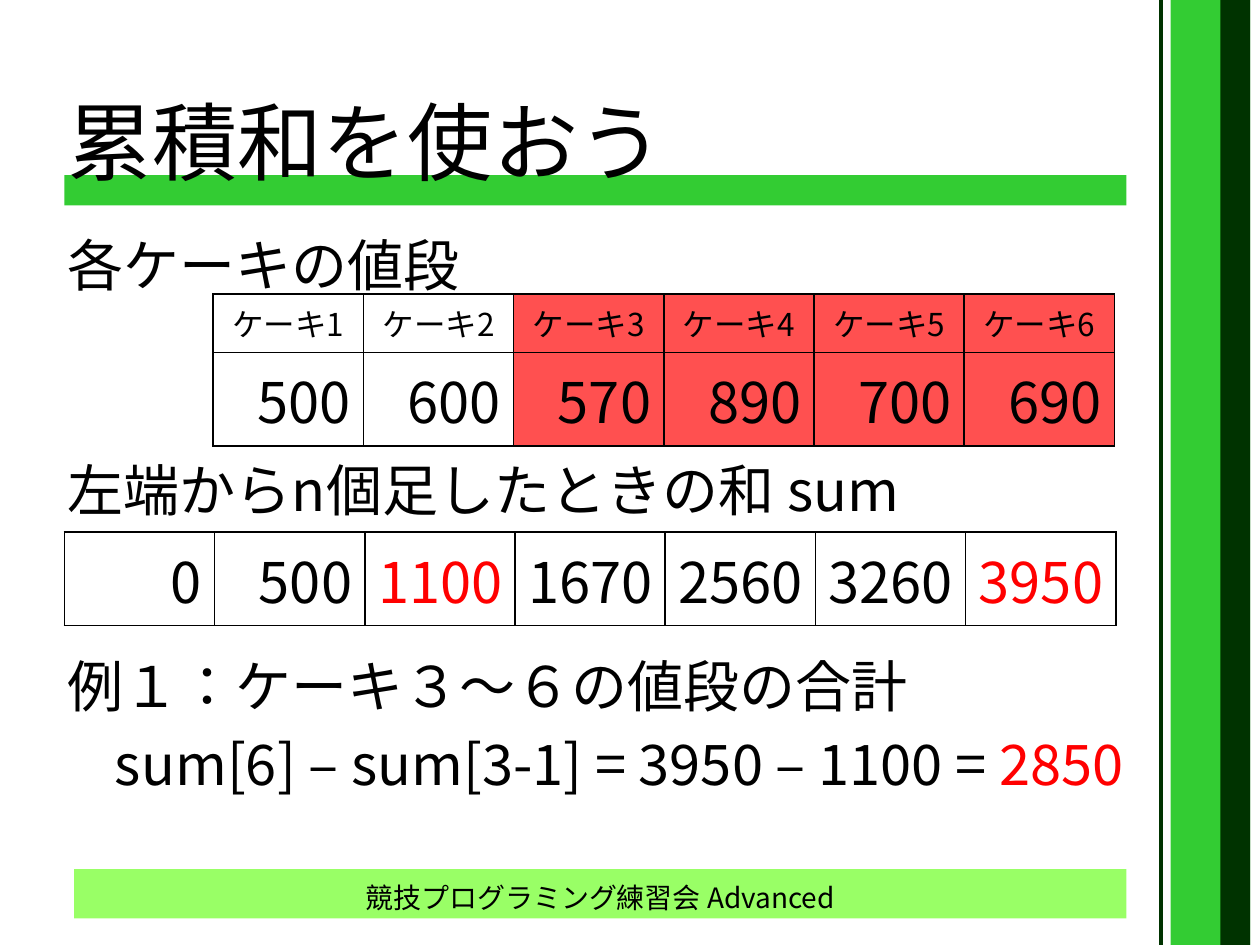
from lxml.etree import SubElement
from pptx import Presentation
from pptx.dml.color import RGBColor
from pptx.enum.lang import MSO_LANGUAGE_ID as Language
from pptx.enum.shapes import MSO_CONNECTOR as Connector, MSO_SHAPE as Preset
from pptx.enum.text import MSO_ANCHOR as Anchor, PP_ALIGN as Align
from pptx.oxml.ns import qn
from pptx.util import Pt

FONT = "Noto Sans CJK JP"
COLORS = {"text": "000000", "accent": "FF0000", "cell": "FFFFFF", "marked": "FF5050",
          "green": "33CC33", "light": "99FF66", "dark": "003300"}
COLUMN = 85.85
LABEL_ROW, VALUE_ROW = 33.3, 53.6


def color(name):
    return RGBColor.from_string(COLORS[name])


def style(para, size, align=Align.LEFT, ink="text"):
    para.alignment = align
    para.font.size = Pt(size)
    para.font.name = FONT
    para.font.color.rgb = color(ink)
    defaults = para._p.get_or_add_pPr().get_or_add_defRPr()
    SubElement(defaults, qn("a:ea"), typeface=FONT)


def add_bar(page, left, top, width, height, fill):
    bar = page.shapes.add_shape(Preset.RECTANGLE, Pt(left), Pt(top), Pt(width), Pt(height))
    bar.shadow.inherit = False
    bar.fill.solid()
    bar.fill.fore_color.rgb = color(fill)
    bar.line.fill.background()


def add_text_frame(page, left, top, width, height, anchor=Anchor.TOP):
    frame = page.shapes.add_textbox(Pt(left), Pt(top), Pt(width), Pt(height)).text_frame
    frame.word_wrap = True
    frame.vertical_anchor = anchor
    return frame


def add_side_stripes(page, left, height):
    rule = page.shapes.add_connector(Connector.STRAIGHT, Pt(left), Pt(0), Pt(left), Pt(height))
    rule.line.color.rgb = color("dark")
    rule.line.width = Pt(2.25)
    SubElement(rule._element.spPr, qn("a:effectLst"))
    add_bar(page, left + 5.8, 0, 45.4, height, "green")
    add_bar(page, left + 34.2, 0, 17, height, "dark")


def add_title(page, left, top, width, height):
    add_bar(page, left + 5.2, top + 51.1, 606.8, 17.3, "green")
    frame = add_text_frame(page, left, top, width, height, Anchor.MIDDLE)
    para = frame.paragraphs[0]
    para.text = "累積和を使おう"
    style(para, 48.6)


def add_body(page, left, top, width, height):
    # Each line: space before, left indent, runs with their colours
    lines = [
        (0, 0, [("各ケーキの値段", "text")]),
        (89, 0, [("左端からn個足したときの和 sum", "text")]),
        (71.6, 0, [("例１：ケーキ３～６の値段の合計", "text")]),
        (5, 27, [("sum[6] – sum[3-1] = 3950 – 1100 = ", "text"), ("2850", "accent")]),
    ]
    frame = add_text_frame(page, left, top, width, height)
    for index, (gap, indent, spans) in enumerate(lines):
        para = frame.add_paragraph() if index else frame.paragraphs[0]
        para.line_spacing = Pt(40)
        para.space_before = Pt(gap)
        para._p.get_or_add_pPr().set("marL", str(Pt(indent)))
        style(para, 32)
        for words, ink in spans:
            span = para.add_run()
            span.text = words
            span.font.language_id = Language.JAPANESE
            if ink != "text":
                span.font.color.rgb = color(ink)


def add_borders(cell):
    properties = cell._tc.get_or_add_tcPr()
    for side in ("lnL", "lnR", "lnT", "lnB"):
        line = SubElement(properties, qn(f"a:{side}"), w=str(Pt(1)))
        fill = SubElement(line, qn("a:solidFill"))
        SubElement(fill, qn("a:srgbClr"), val=COLORS["text"])


def add_grid(page, left, top, rows, heights, marked=(), accents=()):
    """Strings are centred labels; numbers are large and right-aligned."""
    count = len(rows[0])
    table = page.shapes.add_table(len(rows), count, Pt(left), Pt(top),
                                  Pt(COLUMN * count), Pt(sum(heights))).table
    table.first_row = table.horz_banding = False
    for column in table.columns:
        column.width = Pt(COLUMN)
    for r, (values, height) in enumerate(zip(rows, heights)):
        table.rows[r].height = Pt(height)
        for c, value in enumerate(values):
            cell = table.cell(r, c)
            add_borders(cell)
            cell.fill.solid()
            cell.fill.fore_color.rgb = color("marked" if c in marked else "cell")
            para = cell.text_frame.paragraphs[0]
            para.text = str(value)
            if isinstance(value, str):
                style(para, 18, Align.CENTER)
            else:
                cell.margin_left = 0
                style(para, 32, Align.RIGHT, "accent" if c in accents else "text")


def add_footer(page, left, top, width, height):
    add_bar(page, left, top, width, 28.3, "light")
    para = add_text_frame(page, left, top, width, height, Anchor.MIDDLE).paragraphs[0]
    para.text = "競技プログラミング練習会 Advanced"
    style(para, 16, Align.CENTER)


def main():
    deck = Presentation()
    deck.slide_width, deck.slide_height = Pt(720), Pt(540)
    page = deck.slides.add_slide(deck.slide_layouts[6])

    add_side_stripes(page, 663.2, 540)
    add_title(page, 31.6, 49, 620, 62.6)
    add_body(page, 31.6, 126.4, 628, 340)
    add_footer(page, 42.4, 496.6, 601.2, 32.4)

    # Prices and their running totals
    prices = [500, 600, 570, 890, 700, 690]
    labels = [f"ケーキ{n}" for n in range(1, len(prices) + 1)]
    totals = [sum(prices[:n]) for n in range(len(prices) + 1)]
    add_grid(page, 36.8, 304, [totals], [VALUE_ROW], accents=(2, 6))
    add_grid(page, 121.8, 168, [labels, prices], [LABEL_ROW, VALUE_ROW], marked=range(2, 6))

    deck.save("out.pptx")


if __name__ == "__main__":
    main()
